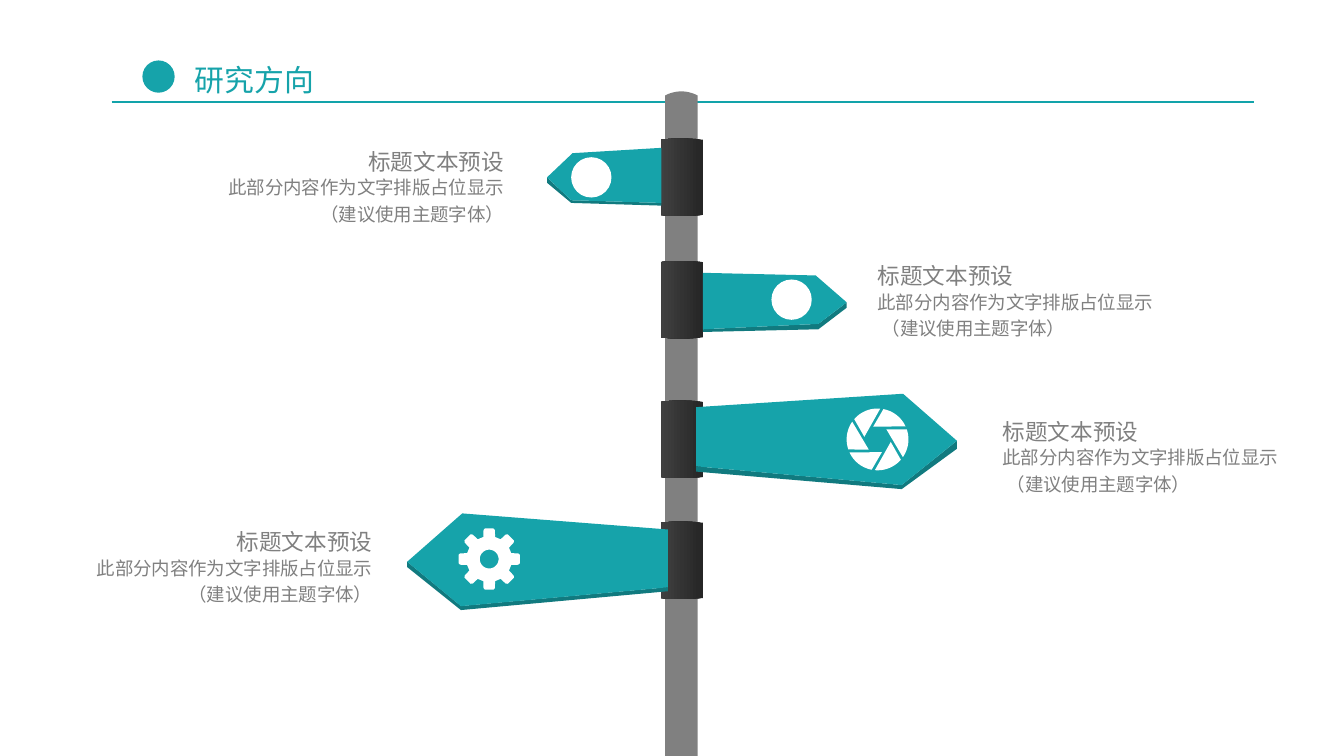
from math import cos, radians, sin

from pptx import Presentation
from pptx import util as u
from pptx.dml.color import RGBColor
from pptx.enum import shapes, text
from pptx.oxml import xmlchemy as xml

INK = {"teal": "16A3AA", "rule": "12A3AA", "edge": "117A7F", "gray": "808080",
       "dark": "262626", "coal": "404040", "white": "FFFFFF"}
FONT = "Noto Sans CJK SC"


class Deck:
    """Holds the style and the current slide."""

    def __init__(self, wide, high):
        self.prs = Presentation()
        self.prs.slide_width = u.Inches(wide)
        self.prs.slide_height = u.Inches(high)
        self.slide = self.prs.slides.add_slide(self.prs.slide_layouts[6])

    def tint(self, name):
        return RGBColor.from_string(INK[name])

    def paint(self, shape, color):
        shape.shadow.inherit = False
        shape.line.fill.background()
        shape.fill.solid()
        shape.fill.fore_color.rgb = self.tint(color)
        return shape

    def disc(self, x, y, r, color):
        box = [u.Inches(v) for v in (x - r, y - r, 2 * r, 2 * r)]
        oval = self.slide.shapes.add_shape(shapes.MSO_SHAPE.OVAL, *box)
        return self.paint(oval, color)

    def free(self, color, *loops):
        loops = [[(u.Inches(x), u.Inches(y)) for x, y in loop] for loop in loops]
        pen = self.slide.shapes.build_freeform(*loops[0][0])
        for num, loop in enumerate(loops):
            if num:
                pen.move_to(*loop[0])
            pen.add_line_segments(loop[1:], close=True)
        return self.paint(pen.convert_to_shape(), color)

    def rule(self, x1, y1, x2, y2, color, width):
        ends = [u.Inches(v) for v in (x1, y1, x2, y2)]
        line = self.slide.shapes.add_connector(shapes.MSO_CONNECTOR.STRAIGHT, *ends)
        line.line.color.rgb = self.tint(color)
        line.line.width = u.Pt(width)
        line._element.spPr.append(xml.OxmlElement("a:effectLst"))

    def text(self, box, lines, size, color, right=False, space=None, pad=(0, 0)):
        frame = self.slide.shapes.add_textbox(*[u.Inches(v) for v in box]).text_frame
        frame.word_wrap = True
        frame.margin_left = frame.margin_right = u.Inches(pad[0])
        frame.margin_top = frame.margin_bottom = u.Inches(pad[1])
        para = frame.paragraphs[0]
        para.alignment = text.PP_ALIGN.RIGHT if right else text.PP_ALIGN.LEFT
        if space:
            para.line_spacing = space
        for num, line in enumerate(lines):
            if num:
                para.add_line_break()
            run = para.add_run()
            run.text = line
            run.font.size = u.Pt(size)
            run.font.color.rgb = self.tint(color)
            run.font.name = FONT
            east = xml.OxmlElement("a:ea")
            east.set("typeface", FONT)
            run._r.get_or_add_rPr().append(east)


def polar(hub, r, deg):
    return hub[0] + r * cos(radians(deg)), hub[1] + r * sin(radians(deg))


def arc(hub, r, start, end, steps=12):
    return [polar(hub, r, start + (end - start) * i / steps) for i in range(steps + 1)]


def bow(x1, x2, y, rise, steps=12):
    """A shallow curve from x1 to x2 that swells by rise in the middle."""
    parts = [i / steps for i in range(steps + 1)]
    return [(x1 + (x2 - x1) * t, y + 4 * rise * t * (1 - t)) for t in parts]


def collar(deck, top):
    band = deck.free("dark", bow(4.92, 5.23, top, -0.01) + bow(5.23, 4.92, top + 0.56, 0.01))
    band.fill.gradient()
    band.fill.gradient_angle = 180
    for stop, color in zip(band.fill.gradient_stops, ("dark", "coal")):
        stop.color.rgb = deck.tint(color)


def gear(deck, hub):
    rim = []
    for mid in range(0, 360, 45):
        rim += [polar(hub, r, mid + turn)
                for r, turn in ((0.17, -15), (0.22, -11), (0.23, -8),
                                (0.23, 8), (0.22, 11), (0.17, 15))]
    deck.free("white", rim, arc(hub, 0.07, 360, 0, 36))


def lens(deck, hub):
    blades = [arc(hub, 0.23, turn - 85, turn - 139) + [polar(hub, 0.1, turn - 169)]
              for turn in range(0, 360, 60)]
    deck.free("white", *blades)


def main():
    deck = Deck(10, 10 * 9 / 16)

    # Heading
    deck.text((1.38, 0.42, 1.96, 0.34), ["研究方向"], 16, "teal", pad=(0.07, 0.04))
    deck.rule(0.83, 0.76, 9.33, 0.76, "rule", 0.75)
    deck.disc(1.18, 0.57, 0.12, "teal")

    # Post and collars
    deck.free("gray", bow(4.95, 5.19, 0.71, -0.03) + [(5.19, 5.66), (4.95, 5.66)])
    for top in (1.04, 1.95, 2.99, 3.89):
        collar(deck, top)

    # Signs: face from upper inner corner round to lower inner corner, then
    # the drop of the lower edge at the tip, shoulder and post
    signs = [
        ([(4.92, 1.1), (4.26, 1.14), (4.07, 1.32), (4.25, 1.49), (4.92, 1.51)],
         (0.04, 0.02, 0.02)),
        ([(5.23, 2.03), (6.07, 2.05), (6.3, 2.25), (6.09, 2.41), (5.23, 2.45)],
         (0.04, 0.04, 0.02)),
        ([(5.18, 3.03), (6.72, 2.93), (7.12, 3.28), (6.71, 3.61), (5.18, 3.47)],
         (0.06, 0.03, 0.04)),
        ([(4.97, 3.94), (3.44, 3.82), (3.03, 4.18), (3.43, 4.51), (4.97, 4.37)],
         (0.04, 0.03, 0.03)),
    ]
    for face, drops in signs:
        low = face[2:]
        under = [(x, y + drop) for (x, y), drop in zip(low, drops)]
        deck.free("edge", low + under[::-1])
        deck.free("teal", face)

    # Icons
    deck.disc(4.4, 1.32, 0.15, "white")
    deck.disc(5.89, 2.23, 0.15, "white")
    lens(deck, (6.53, 3.27))
    gear(deck, (3.64, 4.16))

    # Captions
    body = ["此部分内容作为文字排版占位显示", " （建议使用主题字体）"]
    for x, y, right in ((1.6, 1.1, True), (6.53, 1.95, False),
                        (7.46, 3.11, False), (0.62, 3.93, True)):
        deck.text((x, y, 2.15, 0.18), ["标题文本预设"], 12.1, "gray", right)
        deck.text((x, y + 0.18, 2.15, 0.47), body, 9.9, "gray", right, 1.2)

    deck.prs.save("out.pptx")


if __name__ == "__main__":
    main()
